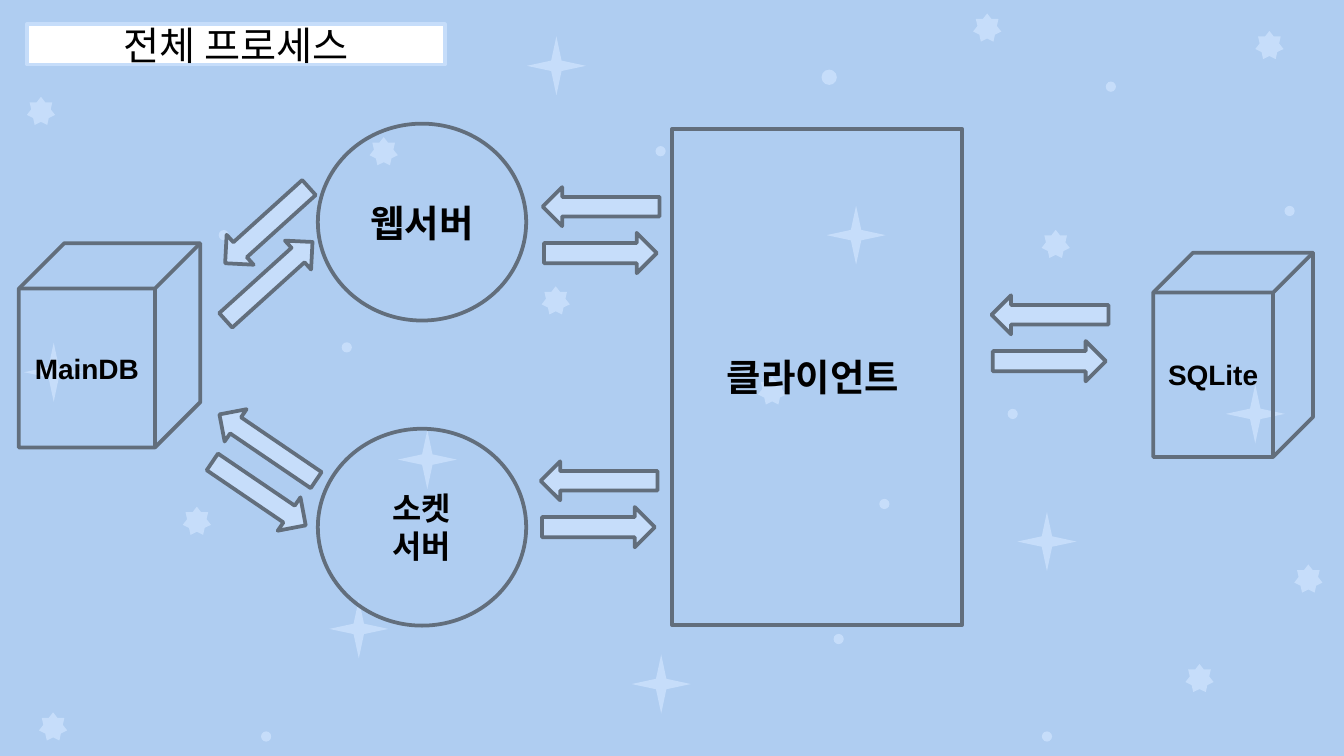
from collections import namedtuple

from pptx import Presentation
from pptx.dml.color import RGBColor
from pptx.enum.shapes import MSO_SHAPE
from pptx.enum.text import MSO_ANCHOR, PP_ALIGN
from pptx.util import Inches, Pt

COLUMNS, ROWS = 100, 56.25
SLIDE_WIDTH = Inches(10)
SLIDE_HEIGHT = round(SLIDE_WIDTH * ROWS / COLUMNS)
SKY, PALE, SLATE, WHITE, BLACK = "AFCDF1", "C6DDFA", "626E7C", "FFFFFF", "000000"

Box = namedtuple("Box", "left top width height")

FRAME_FORMAT = {
    "word_wrap": True,
    "vertical_anchor": MSO_ANCHOR.MIDDLE,
    "margin_top": 0,
    "margin_bottom": 0,
}

SPARKLES = [
    (MSO_SHAPE.STAR_7_POINT, 2.1, [
        (28.55, 11.25), (3.05, 8.25), (14.65, 38.75), (97.35, 43.05),
        (3.95, 54.05), (41.35, 22.35), (73.45, 2.05), (78.55, 18.15),
        (57.45, 29.05), (94.45, 3.35), (89.25, 50.45),
    ]),
    (MSO_SHAPE.STAR_4_POINT, 4.4, [
        (41.4, 4.9), (77.9, 40.3), (26.7, 46.8), (4, 27.7),
        (93.4, 30.8), (63.7, 17.5), (49.2, 50.9), (31.8, 34.2),
    ]),
    (MSO_SHAPE.OVAL, 0.76, [
        (77.9, 54.8), (19.8, 54.8), (49.15, 11.25), (16.65, 17.5),
        (62.4, 47.55), (82.65, 6.45), (75.35, 30.8), (95.95, 15.7),
        (25.8, 25.85), (65.8, 37.5),
    ]),
    (MSO_SHAPE.OVAL, 1.14, [(61.7, 5.75), (43.45, 39.55)]),
]

NODES = [
    (MSO_SHAPE.RECTANGLE, Box(50, 9.6, 21.6, 36.9), ["클라이언트 "], 20),
    (MSO_SHAPE.OVAL, Box(23.65, 9.2, 15.5, 14.65), ["웹서버"], 20),
    (MSO_SHAPE.OVAL, Box(23.65, 31.9, 15.5, 14.65), ["소켓", "서버"], 17),
    (MSO_SHAPE.CUBE, Box(1.4, 18.1, 13.5, 15.2), ["MainDB"], 15),
    (MSO_SHAPE.CUBE, Box(85.8, 18.8, 11.9, 15.2), ["SQLite"], 15),
]

ARROW_PAIRS = [
    (Box(15.6, 15.3, 8.7, 7.1), 317.9, -0.15, -4.15),
    (Box(15.25, 31.8, 8.7, 6.4), 214.2, -0.65, 3.45),
    (Box(40.35, 13.9, 8.7, 6.4), 180, -0.05, 3.45),
    (Box(40.2, 34.3, 8.7, 6.4), 180, -0.05, 3.45),
    (Box(73.75, 21.95, 8.7, 6.4), 180, -0.05, 3.45),
]


def color(value):
    return RGBColor.from_string(value)


def column(count):
    return round(SLIDE_WIDTH * count / COLUMNS)


def row(count):
    return round(SLIDE_HEIGHT * count / ROWS)


def centered_box(x, y, width, height):
    return Box(x - width / 2, y - height / 2, width, height)


def apply_format(target, values):
    for name, value in values.items():
        setattr(target, name, value)


def add_figure(slide, kind, box, fill=None, line=None):
    shape = slide.shapes.add_shape(
        kind, column(box.left), row(box.top), column(box.width), row(box.height)
    )
    shape.shadow.inherit = False
    if fill:
        shape.fill.solid()
        shape.fill.fore_color.rgb = color(fill)
    else:
        shape.fill.background()
    if line:
        shape.line.color.rgb = color(line)
        shape.line.width = Pt(2)
    else:
        shape.line.fill.background()
    return shape


def write_lines(shape, lines, size, bold):
    frame = shape.text_frame
    apply_format(frame, FRAME_FORMAT)
    font_format = {"name": "Arial", "size": Pt(size), "bold": bold}
    for index, line in enumerate(lines):
        paragraph = frame.add_paragraph() if index else frame.paragraphs[0]
        paragraph.alignment = PP_ALIGN.CENTER
        run = paragraph.add_run()
        run.text = line
        apply_format(run.font, font_format)
        run.font.color.rgb = color(BLACK)


def add_sky(slide, box):
    slide.background.fill.solid()
    slide.background.fill.fore_color.rgb = color(SKY)
    for kind, size, centers in SPARKLES:
        for x, y in centers:
            sparkle_box = centered_box(box.left + x, box.top + y, size, size)
            add_figure(slide, kind, sparkle_box, fill=PALE)


def add_title(slide, box, text):
    shape = add_figure(slide, MSO_SHAPE.RECTANGLE, box, fill=WHITE, line=PALE)
    write_lines(shape, [text], 21, False)


def add_node(slide, box, kind, lines, size):
    shape = add_figure(slide, kind, box, line=SLATE)
    write_lines(shape, lines, size, True)


def add_arrow_pair(slide, box, turn, shift, step):
    middle_x = box.left + box.width / 2
    middle_y = box.top + box.height / 2
    arrows = [
        (MSO_SHAPE.RIGHT_ARROW, -0.5, 8.7, 2.9),
        (MSO_SHAPE.LEFT_ARROW, 0.5, 8.4, 3),
    ]
    for kind, side, width, height in arrows:
        arrow_box = centered_box(
            middle_x + side * shift, middle_y + side * step, width, height
        )
        arrow = add_figure(slide, kind, arrow_box, fill=PALE, line=SLATE)
        arrow.rotation = turn


def main():
    presentation = Presentation()
    apply_format(
        presentation, {"slide_width": SLIDE_WIDTH, "slide_height": SLIDE_HEIGHT}
    )
    slide = presentation.slides.add_slide(presentation.slide_layouts[6])
    add_sky(slide, Box(0, 0, COLUMNS, ROWS))
    add_title(slide, Box(2, 1.8, 31.1, 3), "전체 프로세스")
    for kind, box, lines, size in NODES:
        add_node(slide, box, kind, lines, size)
    for box, turn, shift, step in ARROW_PAIRS:
        add_arrow_pair(slide, box, turn, shift, step)
    presentation.save("out.pptx")


if __name__ == "__main__":
    main()
